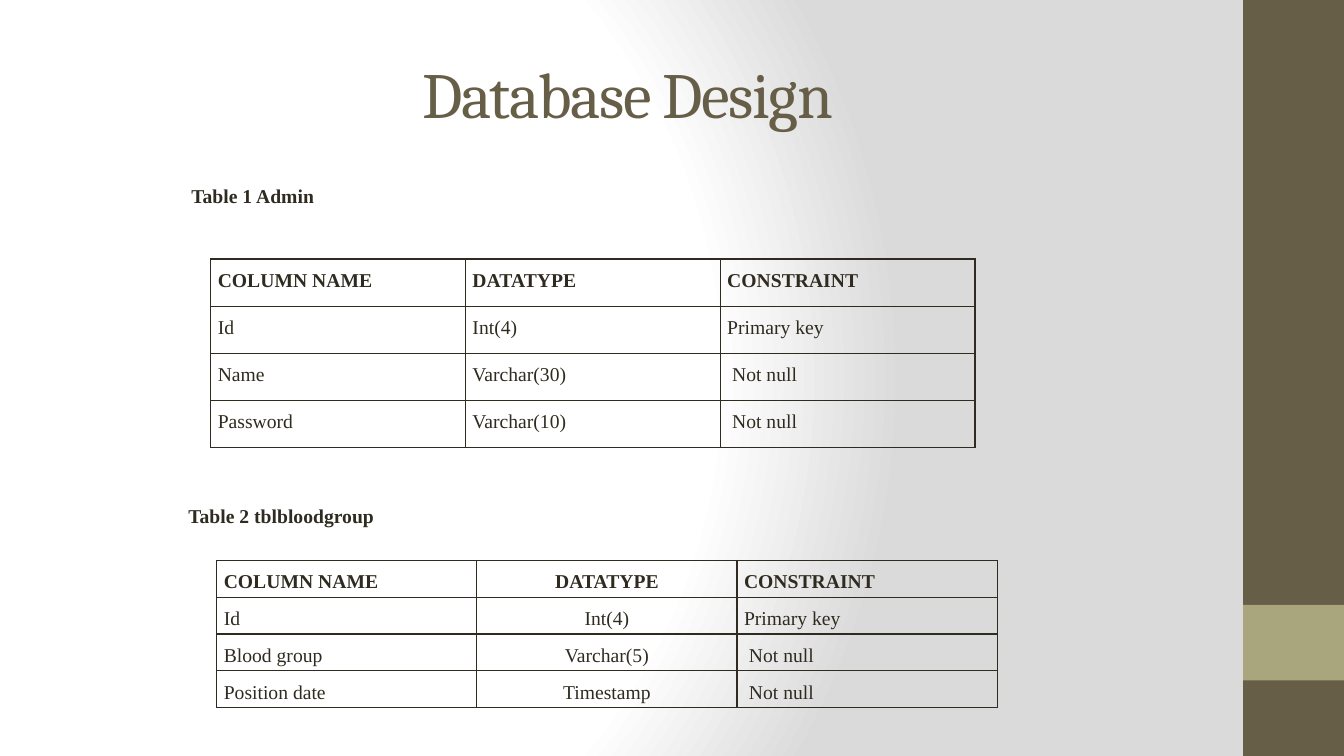
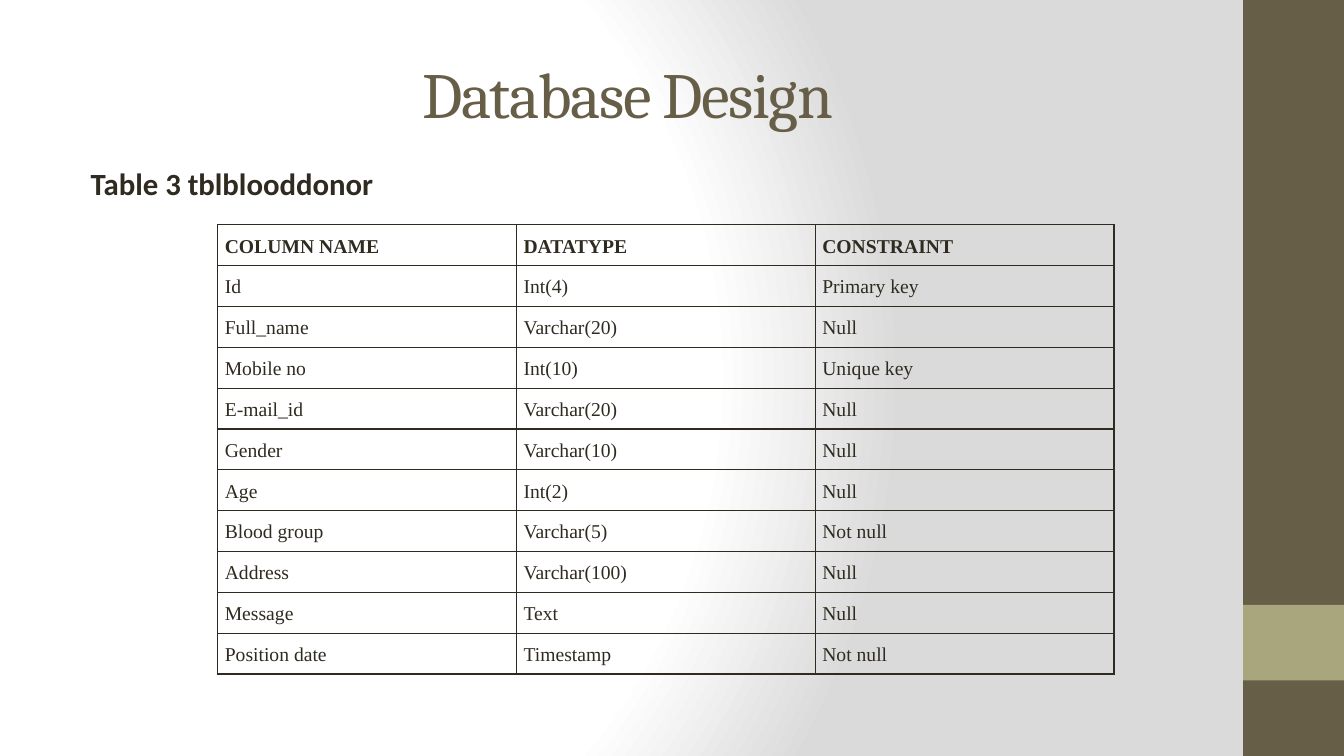
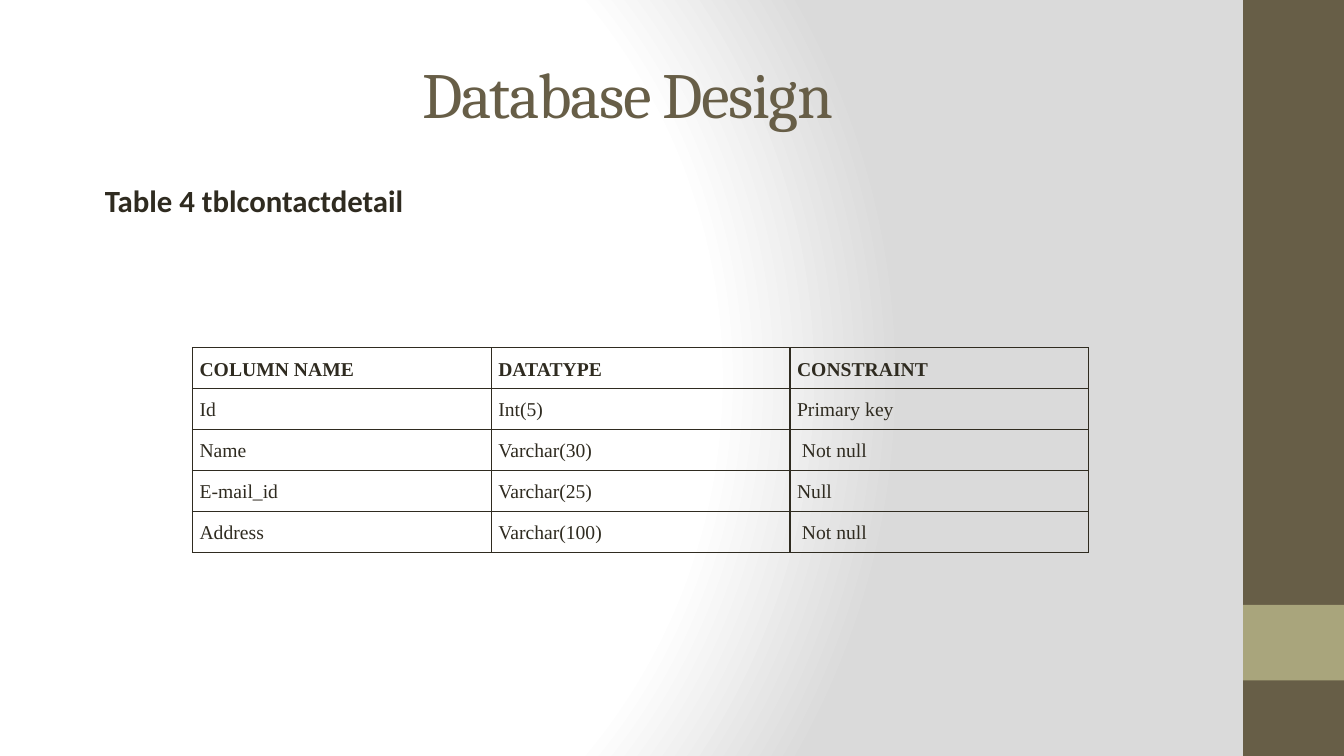
from pptx import Presentation
from pptx.dml.color import RGBColor as RGB
from pptx.enum.shapes import MSO_SHAPE as SHAPE
from pptx.enum.text import MSO_ANCHOR as ANCHOR, MSO_AUTO_SIZE as AUTO, PP_ALIGN as ALIGN
from pptx.oxml import parse_xml
from pptx.oxml.ns import nsdecls
from pptx.util import Inches, Pt

COLORS = {
    "brown": "675E47",
    "khaki": "A9A57C",
    "ink": "2F2B20",
    "white": "FFFFFF",
    "gray": "DADADA",
}
TITLE_FONT, BODY_FONT, TABLE_FONT = "Cambria", "Calibri", "Times New Roman"
TITLE_ONLY, TITLE_BODY = 5, 1
TITLE_BOX = (0.67, 0.3, 11.11, 1.25)
BANDS = [("brown", (12.33, 0, 1, 7.5)), ("khaki", (12.33, 6, 1, 0.75))]
HEADER = ("COLUMN NAME", "DATATYPE", "CONSTRAINT")

ADMIN = [
    ("Id", "Int(4)", "Primary key"),
    ("Name", "Varchar(30)", " Not null"),
    ("Password", "Varchar(10)", " Not null"),
]
BLOOD_GROUP = [
    ("Id", "Int(4)", "Primary key"),
    ("Blood group", "Varchar(5)", " Not null"),
    ("Position date", "Timestamp", " Not null"),
]
BLOOD_DONOR = [
    ("Id", "Int(4)", "Primary key"),
    ("Full_name", "Varchar(20)", "Null"),
    ("Mobile no", "Int(10)", "Unique key"),
    ("E-mail_id", "Varchar(20)", "Null"),
    ("Gender", "Varchar(10)", "Null"),
    ("Age", "Int(2)", "Null"),
    ("Blood group", "Varchar(5)", "Not null"),
    ("Address", "Varchar(100)", "Null"),
    ("Message", "Text", "Null"),
    ("Position date", "Timestamp", "Not null"),
]
CONTACT_DETAIL = [
    ("Id", "Int(5)", "Primary key"),
    ("Name", "Varchar(30)", " Not null"),
    ("E-mail_id", "Varchar(25)", "Null"),
    ("Address", "Varchar(100)", " Not null"),
]


def inches(box):
    """Convert a box of numbers to lengths."""
    return [Inches(v) for v in box]


def place(sp, box):
    """Move and size a shape to the box."""
    sp.left, sp.top, sp.width, sp.height = inches(box)


def style(p, size, font, color="ink", bold=False):
    """Format every run of a paragraph."""
    for r in p.runs:
        r.font.size, r.font.name, r.font.bold = Pt(size), font, bold
        r.font.color.rgb = RGB.from_string(COLORS[color])


def indent(p, left, first):
    """Set the left margin and first-line indent without a bullet."""
    pPr = p._p.get_or_add_pPr()
    pPr.set("marL", str(Inches(left)))
    pPr.set("indent", str(Inches(first)))
    pPr.append(parse_xml(f"<a:buNone {nsdecls('a')}/>"))


def set_background(master):
    """Give the master its radial gradient."""
    master.background.fill.gradient()
    old = master.element.xpath(".//p:bgPr/a:gradFill")[0]
    stops = "".join(
        f'<a:gs pos="{pos * 1000}"><a:srgbClr val="{COLORS[name]}"/></a:gs>'
        for pos, name in [(0, "white"), (75, "white"), (100, "gray")]
    )
    old.getparent().replace(old, parse_xml(
        f'<a:gradFill {nsdecls("a")} rotWithShape="1"><a:gsLst>{stops}</a:gsLst>'
        '<a:path path="circle">'
        '<a:fillToRect l="20000" t="50000" r="100000" b="50000"/>'
        '</a:path></a:gradFill>'
    ))


def add_bands(master, slide):
    """Draw the side bands and move them to the master."""
    for i, (color, box) in enumerate(BANDS):
        sp = slide.shapes.add_shape(SHAPE.RECTANGLE, *inches(box))
        sp.shadow.inherit = False
        sp.fill.solid()
        sp.fill.fore_color.rgb = RGB.from_string(COLORS[color])
        sp.line.fill.background()
        sp.element.nvSpPr.cNvPr.id = 100 + i
        master.shapes.element.insert(2 + i, sp.element)


def add_slide(prs, layout):
    """Add a slide with the shared title."""
    slide = prs.slides.add_slide(prs.slide_layouts[layout])
    title = slide.shapes.title
    place(title, TITLE_BOX)
    tf = title.text_frame
    tf.text = "Database Design"
    tf.auto_size, tf.vertical_anchor = AUTO.NONE, ANCHOR.MIDDLE
    p = tf.paragraphs[0]
    p.alignment = ALIGN.CENTER
    style(p, 46, TITLE_FONT, "brown")
    p.runs[0].font._element.set("spc", "-100")
    return slide


def add_caption(slide, text, box, first=0, anchor=ANCHOR.TOP):
    """Add a small table caption in a text box."""
    tf = slide.shapes.add_textbox(*inches(box)).text_frame
    tf.word_wrap, tf.auto_size, tf.vertical_anchor = True, AUTO.SHAPE_TO_FIT_TEXT, anchor
    tf.text = text
    indent(tf.paragraphs[0], 0, first)
    style(tf.paragraphs[0], 14, TABLE_FONT, bold=True)


def fill_body(slide, text, box, first):
    """Write the table caption in the body placeholder."""
    body = slide.placeholders[1]
    place(body, box)
    tf = body.text_frame
    tf.text = text
    tf.auto_size = AUTO.NONE
    indent(tf.paragraphs[0], 0.38, first)
    style(tf.paragraphs[0], 22, BODY_FONT, bold=True)


def add_borders(cell):
    """Draw a thin line on each side of a cell."""
    tcPr = cell._tc.get_or_add_tcPr()
    for side in "LRTB":
        tcPr.append(parse_xml(
            f'<a:ln{side} {nsdecls("a")} w="{Pt(1)}"><a:solidFill>'
            f'<a:srgbClr val="{COLORS["ink"]}"/></a:solidFill></a:ln{side}>'
        ))


def add_schema(slide, rows, box, centered=()):
    """Add a table of columns, types and constraints that fills the box."""
    data = [HEADER, *rows]
    table = slide.shapes.add_table(len(data), len(HEADER), *inches(box)).table
    table.first_row = table.horz_banding = False
    for i, row in enumerate(data):
        for j, text in enumerate(row):
            cell = table.cell(i, j)
            cell.margin_left = cell.margin_right = Inches(0.07)
            cell.margin_top = cell.margin_bottom = 0
            add_borders(cell)
            cell.fill.background()
            p = cell.text_frame.paragraphs[0]
            p.text = text
            p.line_spacing, p.space_after = 1.5, Pt(10)
            p.alignment = ALIGN.CENTER if j in centered else ALIGN.LEFT
            style(p, 14, TABLE_FONT, bold=i == 0)


def main():
    """Build the three database design slides."""
    prs = Presentation()
    prs.slide_width, prs.slide_height = Inches(13.33), Inches(7.5)
    set_background(prs.slide_master)

    slide = add_slide(prs, TITLE_ONLY)
    add_bands(prs.slide_master, slide)
    add_caption(slide, "Table 1 Admin", (1.8, 1.78, 3.37, 0.57))
    add_schema(slide, ADMIN, (2.09, 2.57, 7.58, 1.87))
    add_caption(slide, "Table 2 tblbloodgroup", (0.77, 4.95, 4.55, 0.34), 1, ANCHOR.MIDDLE)
    add_schema(slide, BLOOD_GROUP, (2.15, 5.56, 7.74, 1.46), centered=(1,))

    slide = add_slide(prs, TITLE_BODY)
    fill_body(slide, "Table 3 tblblooddonor", (0.67, 1.58, 11.11, 5.25), -0.25)
    add_schema(slide, BLOOD_DONOR, (2.16, 2.23, 8.89, 4.46))

    slide = add_slide(prs, TITLE_BODY)
    fill_body(slide, "Table 4 tblcontactdetail", (0.67, 1.75, 11.11, 5.25), -0.11)
    add_schema(slide, CONTACT_DETAIL, (1.91, 3.45, 8.89, 2.03))

    prs.save("out.pptx")


if __name__ == "__main__":
    main()
